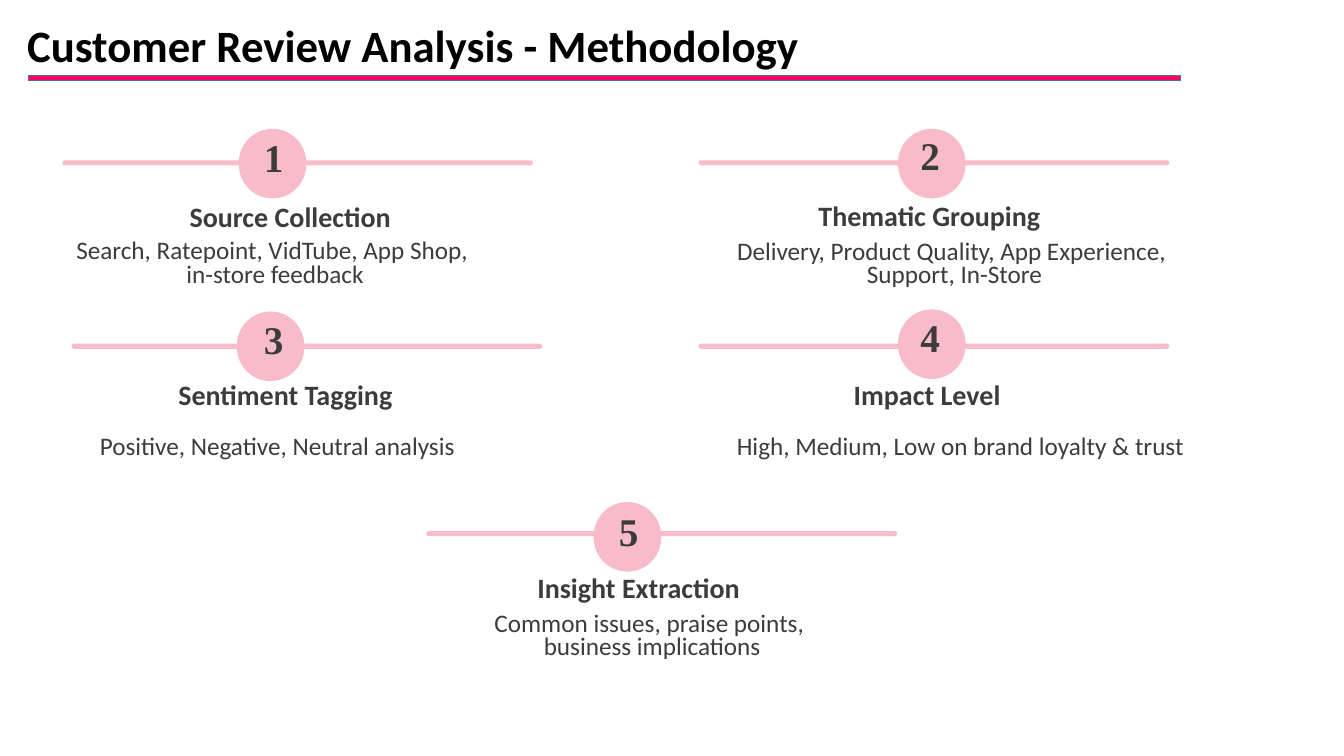
from pptx import Presentation
from pptx.dml.color import RGBColor
from pptx.enum import shapes, text
from pptx.util import Pt

BLACK = RGBColor(0x00, 0x00, 0x00)
CHARCOAL = RGBColor(0x3C, 0x3C, 0x3C)
PINK = RGBColor(0xF8, 0xBB, 0xCA)
MAGENTA = RGBColor(0xFF, 0x00, 0x66)
STEEL = RGBColor(0x43, 0x73, 0x9E)

LEFT = text.PP_ALIGN.LEFT
CENTER = text.PP_ALIGN.CENTER
RECTANGLE = shapes.MSO_SHAPE.RECTANGLE
ROUNDED = shapes.MSO_SHAPE.ROUNDED_RECTANGLE

deck = Presentation()
deck.slide_width, deck.slide_height = Pt(960), Pt(540)
page = deck.slides.add_slide(deck.slide_layouts[6])


def add_bar(kind, left, top, width, height, color):
    bar = page.shapes.add_shape(kind, Pt(left), Pt(top), Pt(width), Pt(height))
    bar.shadow.inherit = False
    bar.fill.solid()
    bar.fill.fore_color.rgb = color
    bar.line.fill.background()
    if kind == ROUNDED:
        bar.adjustments[0] = 0.5
    return bar


def add_label(lines, left, top, width, height, size, spacing,
              bold=False, font="Calibri", align=LEFT, color=CHARCOAL):
    box = page.shapes.add_textbox(Pt(left), Pt(top), Pt(width), Pt(height))
    frame = box.text_frame
    frame.word_wrap = False
    frame.margin_left = frame.margin_right = 0
    frame.margin_top = frame.margin_bottom = 0
    for index, line in enumerate(lines):
        para = frame.paragraphs[0] if index == 0 else frame.add_paragraph()
        para.text = line
        para.alignment = align
        para.line_spacing = spacing
        para.font.name = font
        para.font.size = Pt(size)
        para.font.bold = bold
        para.font.color.rgb = color
    return box


title = add_label(["Customer Review Analysis - Methodology"], 19.4, -18, 813.6, 104.4,
                  32, 0.9, bold=True, color=BLACK)
title.text_frame.vertical_anchor = text.MSO_ANCHOR.MIDDLE

underline = add_bar(RECTANGLE, 20.2, 54, 823, 3.6, MAGENTA)
underline.line.color.rgb = STEEL
underline.line.width = Pt(1)

steps = [
    ("Source Collection", ["Search, Ratepoint, VidTube, App Shop, ", "in-store feedback"], CENTER,
     (44.6, 114.5), (170.6, 92), (188.6, 113), (135.4, 150.5), (-38.2, 172.8)),
    ("Thematic Grouping", ["Delivery, Product Quality, App Experience, ", "Support, In-Store"], CENTER,
     (499, 114.5), (641.5, 92), (657.4, 111.6), (584.6, 149.8), (447.1, 173.2)),
    ("Sentiment Tagging", ["Positive, Negative, Neutral analysis"], LEFT,
     (51.1, 245.5), (169.2, 222.5), (188.6, 242.6), (127.4, 277.9), (71.3, 312.5)),
    ("Impact Level", ["High, Medium, Low on brand loyalty & trust"], LEFT,
     (499, 245.5), (641.5, 221), (657.4, 241.2), (609.8, 277.9), (526.3, 312.5)),
    ("Insight Extraction", ["Common issues, praise points, ", "business implications"], CENTER,
     (304.6, 379.4), (424.1, 358.6), (442.1, 380.2), (383.8, 415.4), (231.1, 439.2)),
]

for number, (heading, detail, align, rule_at, badge_at,
             number_at, heading_at, detail_at) in enumerate(steps, 1):
    add_bar(ROUNDED, *rule_at, 336.2, 3.6, PINK)
    add_bar(ROUNDED, *badge_at, 48.2, 49.7, PINK)
    add_label([str(number)], *number_at, 24.5, 26.6, 28, Pt(16),
              bold=True, font="Times New Roman")
    add_label([heading], *heading_at, 220, 26.6, 20, Pt(16), bold=True)
    add_label(detail, *detail_at, 469.4, 25.9, 18, Pt(16.5), align=align)

deck.save("out.pptx")
